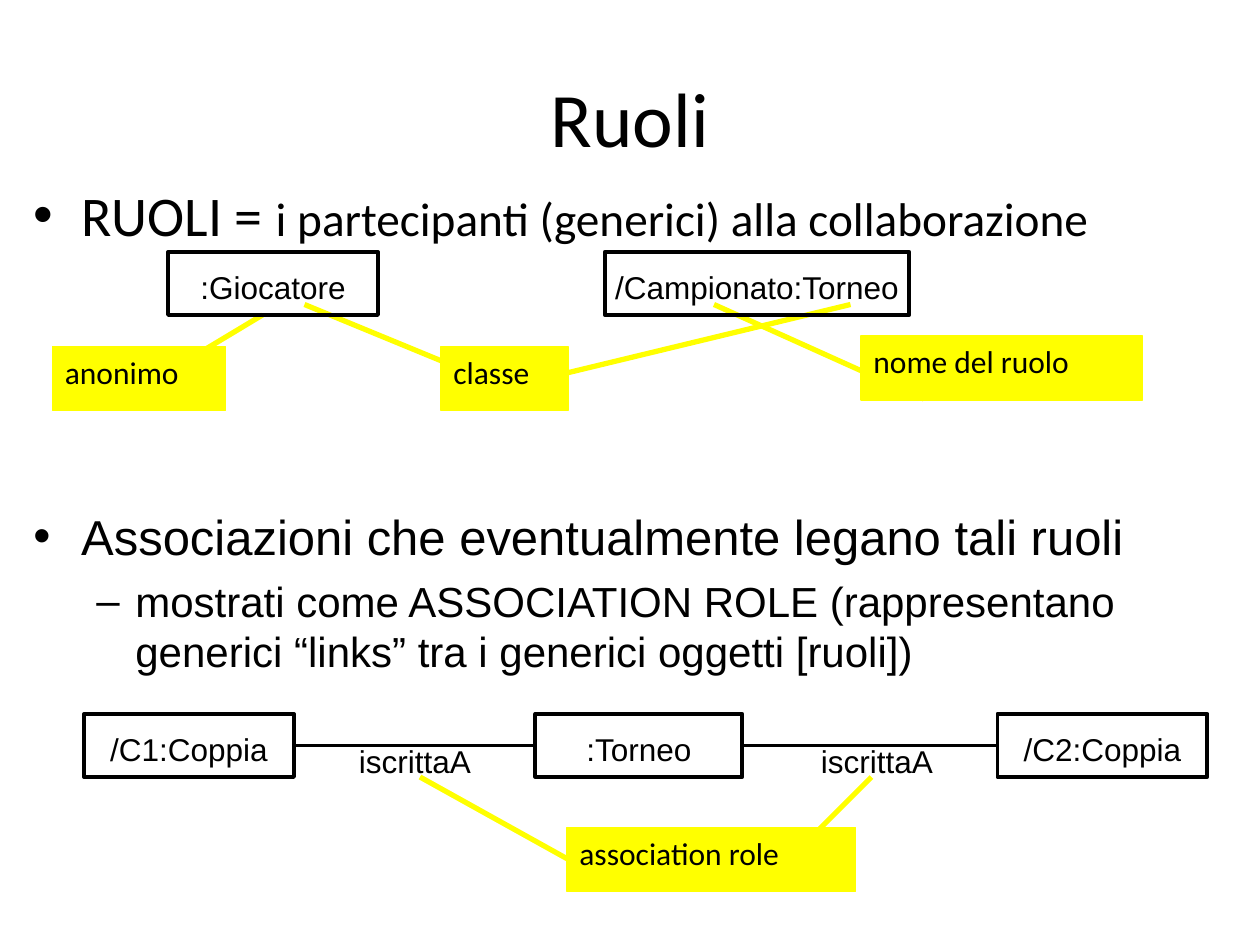
"""Build the slide "Ruoli" on a grid of 120 columns by 90 rows."""
from lxml import etree
from pptx import Presentation
from pptx import util as u
from pptx.dml.color import RGBColor
from pptx.enum import shapes, text
from pptx.oxml.ns import qn

COLS, ROWS = 120, 90
BLACK = RGBColor(0, 0, 0)
YELLOW = RGBColor(255, 255, 0)
SANS, BODY = "Arial", "Calibri"

TITLE = "Ruoli"
BULLETS = [
    (16, 8, [("•", 0.38, 0.38, [("RUOLI = ", 32), ("i partecipanti (generici) alla collaborazione", 27)])], BODY),
    (47, 16, [("•", 0.38, 0.38, [("Associazioni che eventualmente legano tali ruoli", 28)]),
              ("–", 0.81, 0.31, [("mostrati come ASSOCIATION ROLE (rappresentano generici “links” "
                                  "tra i generici oggetti [ruoli])", 24)])], SANS),
]
ROLES = [
    (":Giocatore", 16, 24, 20),
    ("/Campionato:Torneo", 57.6, 24, 29),
    ("/C1:Coppia", 8, 68, 20),
    (":Torneo", 51, 68, 19.7),
    ("/C2:Coppia", 95, 68, 20),
]
ASSOCIATIONS = [
    ("/C1:Coppia", ":Torneo", "iscrittaA", 33),
    (":Torneo", "/C2:Coppia", "iscrittaA", 77),
]
NOTES = [
    ("classe", 42, 33, 12.1, [(81, 29, 52, 36), (29, 29, 46, 36)]),
    ("nome del ruolo", 82, 32, 26.8, [(88, 38, 68, 29)]),
    ("anonimo", 5, 33, 16.5, [(25, 30, 15, 36)]),
    ("association role", 54, 78.8, 27.5, [(74, 83, 83, 74), (58, 84, 40, 74)]),
]

prs = Presentation()
prs.slide_width, prs.slide_height = u.Inches(10), u.Inches(7.5)
s = prs.slides.add_slide(prs.slide_layouts[6])


def grid(x, y, *size):
    cells = zip((x, y, *size), (prs.slide_width / COLS, prs.slide_height / ROWS) * 2)
    return [round(n * cell) for n, cell in cells]


def add_run(p, words, size, font):
    r = p.add_run()
    r.text = words
    r.font.size, r.font.name = u.Pt(size), font
    r.font.color.rgb = BLACK


def add_line(color, width, x1=0, y1=0, x2=0, y2=0):
    line = s.shapes.add_connector(shapes.MSO_CONNECTOR.STRAIGHT, *grid(x1, y1), *grid(x2, y2))
    line.line.color.rgb, line.line.width = color, u.Pt(width)
    etree.SubElement(line._element.spPr, qn("a:effectLst"))
    return line


def add_text(x, y, w, h):
    tf = s.shapes.add_textbox(*grid(x, y, w, h)).text_frame
    tf.word_wrap = True
    return tf


def add_box(words, x, y, w, h, font, color, width, align):
    sp = s.shapes.add_shape(shapes.MSO_SHAPE.RECTANGLE, *grid(x, y, w, h))
    sp.shadow.inherit = False
    sp.line.color.rgb, sp.line.width = color, u.Pt(width)
    tf = sp.text_frame
    tf.vertical_anchor = text.MSO_ANCHOR.TOP
    p = tf.paragraphs[0]
    p.alignment = align
    add_run(p, words, 18, font)
    return sp


def add_bullet(p, mark, left, hang):
    pPr = p._p.get_or_add_pPr()
    pPr.set("marL", str(u.Inches(left)))
    pPr.set("indent", str(-u.Inches(hang)))
    etree.SubElement(pPr, qn("a:buFont"), typeface=SANS)
    etree.SubElement(pPr, qn("a:buChar"), char=mark)


for words, x, y, w, pointers in NOTES:
    for ends in pointers:
        add_line(YELLOW, 3, *ends)
    note = add_box(words, x, y, w, 6.1, BODY, YELLOW, 0.75, text.PP_ALIGN.LEFT)
    note.fill.solid()
    note.fill.fore_color.rgb = YELLOW

tf = add_text(6, 3.6, 108, 15)
tf.vertical_anchor = text.MSO_ANCHOR.MIDDLE
tf.paragraphs[0].alignment = text.PP_ALIGN.CENTER
add_run(tf.paragraphs[0], TITLE, 44, BODY)

for y, h, items, font in BULLETS:
    tf = add_text(2, y, 113, h)
    tf.margin_top = u.Inches(0.1)
    for i, (mark, left, hang, runs) in enumerate(items):
        p = tf.add_paragraph() if i else tf.paragraphs[0]
        add_bullet(p, mark, left, hang)
        if i:
            p.space_before = u.Pt(6)
        for words, size in runs:
            add_run(p, words, size, font)

roles = {}
for words, x, y, w in ROLES:
    sp = add_box(words, x, y, w, 6, SANS, BLACK, 2.25, text.PP_ALIGN.CENTER)
    sp.fill.background()
    tf = sp.text_frame
    tf.margin_left = tf.margin_right = tf.margin_bottom = 0
    tf.margin_top = u.Inches(0.13)
    roles[words] = sp

for start, end, words, x in ASSOCIATIONS:
    line = add_line(BLACK, 2.25)
    line.begin_connect(roles[start], 3)
    line.end_connect(roles[end], 1)
    add_run(add_text(x, 70.1, 22, 4.8).paragraphs[0], words, 18, SANS)

prs.save("out.pptx")
